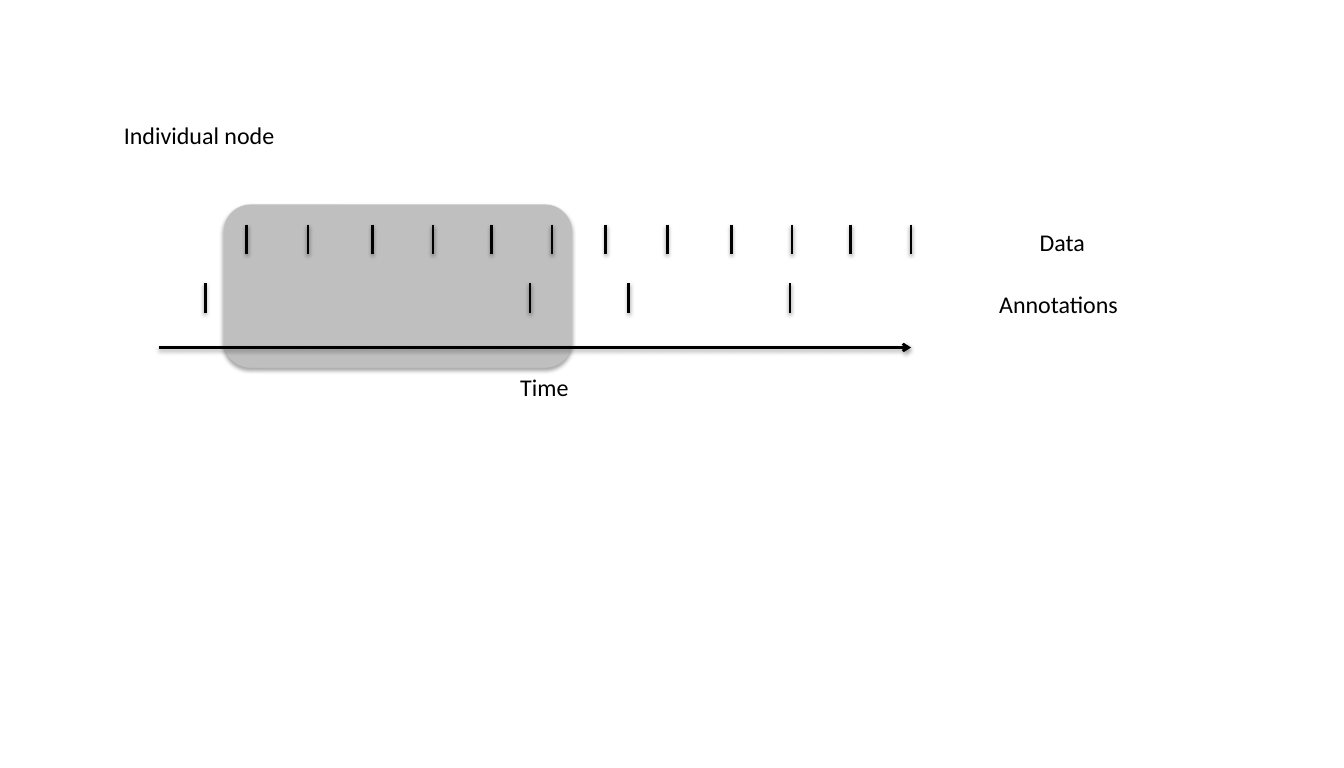
"""Draw a timeline of data and annotation events on an individual node."""
from dataclasses import dataclass

from lxml import etree
from pptx import Presentation
from pptx import util as u
from pptx.dml.color import RGBColor
from pptx.enum import shapes, text
from pptx.oxml.ns import qn

COLUMNS, ROWS = 14, 8
SLIDE_WIDTH, SLIDE_HEIGHT = u.Inches(14), u.Inches(8)
BLACK = RGBColor(0x00, 0x00, 0x00)
WINDOW_GREY = RGBColor(0xBF, 0xBF, 0xBF)
WINDOW_EDGE = RGBColor(0xEE, 0xEC, 0xE1)
FONT, FONT_SIZE = "Calibri", u.Pt(18)


@dataclass(frozen=True)
class Label:
    """A line of text and its place on the grid."""

    wording: str
    column: float
    row: float
    width: float
    height: float = 0.4


@dataclass(frozen=True)
class Stroke:
    """A straight line between two points on the grid."""

    start_column: float
    start_row: float
    end_column: float
    end_row: float
    arrow: bool = False


TITLE = Label("Individual node", 1.19, 1.2, 1.79)
LABELS = (
    Label("Data", 10.73, 2.32, 0.68),
    Label("Annotations", 10.31, 2.97, 1.46),
    Label("Time", 5.32, 3.83, 0.71),
)
TIME_AXIS = Stroke(1.66, 3.62, 9.49, 3.62, arrow=True)
TICK_HEIGHT = 0.31
DATA_ROW, ANNOTATION_ROW = 2.34, 2.95
DATA_GROUP_STARTS = (2.57, 6.31)
DATA_OFFSETS = (0, 0.64, 1.31, 1.94, 2.55, 3.18)
ANNOTATION_COLUMNS = (2.14, 5.52, 6.55, 8.23)


def across(columns: float) -> int:
    """Convert grid columns to a length."""
    return round(SLIDE_WIDTH * columns / COLUMNS)


def down(rows: float) -> int:
    """Convert grid rows to a length."""
    return round(SLIDE_HEIGHT * rows / ROWS)


def add_alpha(color, percent: int) -> None:
    """Make a colour element partly transparent."""
    etree.SubElement(color, qn("a:alpha"), val=str(percent * 1000))


def add_shadow(shape, percent: int, distance: float) -> None:
    """Give a shape a soft shadow that falls straight down."""
    properties = shape._element.spPr
    for effects in properties.findall(qn("a:effectLst")):
        properties.remove(effects)
    effects = etree.SubElement(properties, qn("a:effectLst"))
    shadow = etree.SubElement(
        effects, qn("a:outerShdw"), blurRad=str(u.Pt(3.1)),
        dist=str(u.Pt(distance)), dir="5400000", rotWithShape="0")
    add_alpha(etree.SubElement(shadow, qn("a:srgbClr"), val=str(BLACK)), percent)


def add_window(page) -> None:
    """Draw the grey window behind the timeline."""
    window = page.shapes.add_shape(
        shapes.MSO_SHAPE.ROUNDED_RECTANGLE,
        across(2.33), down(2.13), across(3.63), down(1.7))
    window.fill.solid()
    window.fill.fore_color.rgb = WINDOW_GREY
    window.line.color.rgb = WINDOW_EDGE
    window.line.width = u.Pt(0.75)
    add_alpha(window.line._ln.find(".//" + qn("a:srgbClr")), 10)
    add_shadow(window, 35, 1.8)


def add_stroke(page, stroke: Stroke) -> None:
    """Draw a black line, with an arrowhead if it asks for one."""
    line = page.shapes.add_connector(
        shapes.MSO_CONNECTOR.STRAIGHT,
        across(stroke.start_column), down(stroke.start_row),
        across(stroke.end_column), down(stroke.end_row))
    line.line.color.rgb = BLACK
    line.line.width = u.Pt(2)
    if stroke.arrow:
        etree.SubElement(line.line._ln, qn("a:tailEnd"), type="arrow")
    add_shadow(line, 38, 1.6)


def write_label(box, label: Label) -> None:
    """Place a text shape and format its wording."""
    box.left, box.top = across(label.column), down(label.row)
    box.width, box.height = across(label.width), down(label.height)
    frame = box.text_frame
    frame.text = label.wording
    frame.word_wrap = False
    frame.auto_size = text.MSO_AUTO_SIZE.SHAPE_TO_FIT_TEXT
    frame.vertical_anchor = text.MSO_ANCHOR.TOP
    para = frame.paragraphs[0]
    para.alignment = text.PP_ALIGN.LEFT
    para.font.name, para.font.size = FONT, FONT_SIZE
    para.font.color.rgb = BLACK


def main() -> None:
    """Build and save the slide."""
    deck = Presentation()
    deck.slide_width, deck.slide_height = SLIDE_WIDTH, SLIDE_HEIGHT
    page = deck.slides.add_slide(deck.slide_layouts.get_by_name("Title Only"))
    write_label(page.shapes.title, TITLE)
    add_window(page)
    data_columns = [start + offset for start in DATA_GROUP_STARTS
                    for offset in DATA_OFFSETS]
    for row, columns in ((ANNOTATION_ROW, ANNOTATION_COLUMNS),
                         (DATA_ROW, data_columns)):
        for column in columns:
            add_stroke(page, Stroke(column, row, column, row + TICK_HEIGHT))
    add_stroke(page, TIME_AXIS)
    for label in LABELS:
        write_label(page.shapes.add_textbox(0, 0, 0, 0), label)
    deck.save("out.pptx")


if __name__ == "__main__":
    main()
